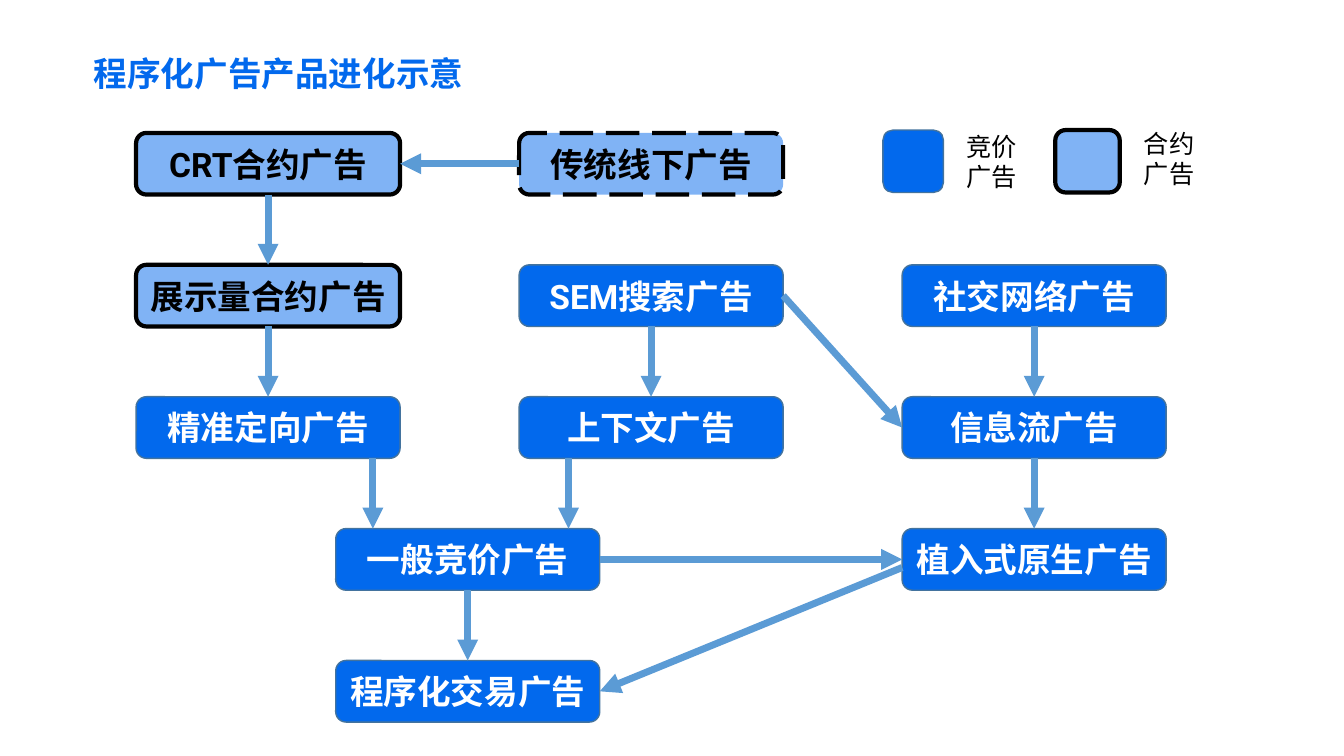
from lxml.etree import SubElement
from pptx import Presentation
from pptx.dml.color import RGBColor
from pptx.enum.dml import MSO_LINE
from pptx.enum.shapes import MSO_CONNECTOR, MSO_SHAPE
from pptx.enum.text import MSO_ANCHOR, MSO_AUTO_SIZE, PP_ALIGN
from pptx.oxml.ns import qn
from pptx.util import Pt

BLUE, EDGE, ARROW, BLACK, WHITE = "0269ED", "43739E", "5B9BD5", "000000", "FFFFFF"
TOP, LEFT, BOTTOM, RIGHT = range(4)

TITLE = "程序化广告产品进化示意"
COLUMNS = {"left": 97.2, "centre": 370.8, "right": 644.4, "between": 239.8}
ROW_TOP, ROW_PITCH = 95, 94.2
BOX_WIDTH, BOX_HEIGHT = 188.6, 44

PRODUCTS = [
    ("传统线下广告", "centre", 0, "offline"),
    ("CRT合约广告", "left", 0, "contract"),
    ("展示量合约广告", "left", 1, "contract"),
    ("精准定向广告", "left", 2, "bidding"),
    ("SEM搜索广告", "centre", 1, "bidding"),
    ("上下文广告", "centre", 2, "bidding"),
    ("社交网络广告", "right", 1, "bidding"),
    ("信息流广告", "right", 2, "bidding"),
    ("一般竞价广告", "between", 3, "bidding"),
    ("植入式原生广告", "right", 3, "bidding"),
    ("程序化交易广告", "between", 4, "bidding"),
]
JOINED_ARROWS = [
    ("传统线下广告", LEFT, "CRT合约广告", RIGHT),
    ("CRT合约广告", BOTTOM, "展示量合约广告", TOP),
    ("展示量合约广告", BOTTOM, "精准定向广告", TOP),
    ("SEM搜索广告", BOTTOM, "上下文广告", TOP),
    ("SEM搜索广告", RIGHT, "信息流广告", LEFT),
    ("社交网络广告", BOTTOM, "信息流广告", TOP),
    ("信息流广告", BOTTOM, "植入式原生广告", TOP),
    ("一般竞价广告", RIGHT, "植入式原生广告", LEFT),
    ("一般竞价广告", BOTTOM, "程序化交易广告", TOP),
]
MERGING_ARROWS_X = [266.4, 406.1]
LEGEND = [
    ("竞价广告", "bidding", (630.7, 92.9, 43.2, 44.6), (683.3, 90)),
    ("合约广告", "contract", (753.8, 92.9, 46.1, 44.6), (810, 87.8)),
]

presentation = Presentation()
presentation.slide_width, presentation.slide_height = Pt(960), Pt(540)
slide = presentation.slides.add_slide(presentation.slide_layouts[6])


def paint(target, color):
    target.solid()
    target.fore_color.rgb = RGBColor.from_string(color)


def write(frame, text, size=24, color=BLACK, font="Calibri", bold=False, align=PP_ALIGN.LEFT):
    frame.word_wrap = True
    paragraph = frame.paragraphs[0]
    paragraph.alignment = align
    run = paragraph.add_run()
    run.text = text
    run.font.name, run.font.size, run.font.bold = font, Pt(size), bold
    paint(run.font.fill, color)


def add_label(text, left, top, width, height, **style):
    label = slide.shapes.add_textbox(Pt(left), Pt(top), Pt(width), Pt(height))
    label.text_frame.auto_size = MSO_AUTO_SIZE.SHAPE_TO_FIT_TEXT
    write(label.text_frame, text, **style)


def add_box(kind, left, top, width, height):
    box = slide.shapes.add_shape(
        MSO_SHAPE.FLOWCHART_ALTERNATE_PROCESS, Pt(left), Pt(top), Pt(width), Pt(height))
    box.shadow.inherit = False
    paint(box.fill, BLUE)
    bidding = kind == "bidding"
    paint(box.line.fill, EDGE if bidding else BLACK)
    box.line.width = Pt(1 if bidding else 3)
    if not bidding:
        color = box.fill._xPr.find(".//" + qn("a:srgbClr"))
        SubElement(color, qn("a:alpha"), val="50000")
    if kind == "offline":
        box.line.dash_style = MSO_LINE.LONG_DASH
    return box


def add_arrow(x1=0, y1=0, x2=0, y2=0):
    arrow = slide.shapes.add_connector(MSO_CONNECTOR.STRAIGHT, Pt(x1), Pt(y1), Pt(x2), Pt(y2))
    paint(arrow.line.fill, ARROW)
    arrow.line.width = Pt(5)
    SubElement(arrow.line._get_or_add_ln(), qn("a:tailEnd"), type="triangle")
    SubElement(arrow._element.spPr, qn("a:effectLst"))
    return arrow


def row_top(row):
    return ROW_TOP + row * ROW_PITCH


add_label(TITLE, 59.8, 34.6, 574.6, 36, color=BLUE, bold=True)

boxes = {}
for name, column, row, kind in PRODUCTS:
    box = add_box(kind, COLUMNS[column], row_top(row), BOX_WIDTH, BOX_HEIGHT)
    box.text_frame.vertical_anchor = MSO_ANCHOR.MIDDLE
    box.text_frame.margin_left = box.text_frame.margin_right = Pt(0)
    write(box.text_frame, name, color=WHITE if kind == "bidding" else BLACK,
          font="Roboto", bold=True, align=PP_ALIGN.CENTER)
    boxes[name] = box

for source, source_side, target, target_side in JOINED_ARROWS:
    arrow = add_arrow()
    arrow.begin_connect(boxes[source], source_side)
    arrow.end_connect(boxes[target], target_side)

for x in MERGING_ARROWS_X:
    add_arrow(x, row_top(2) + BOX_HEIGHT, x, row_top(3))

native_arrow = add_arrow(COLUMNS["right"], 405.4)
native_arrow.end_connect(boxes["程序化交易广告"], RIGHT)

for name, kind, swatch, (left, top) in LEGEND:
    add_box(kind, *swatch)
    add_label(name, left, top, 54.7, 51, size=18)

presentation.save("out.pptx")
